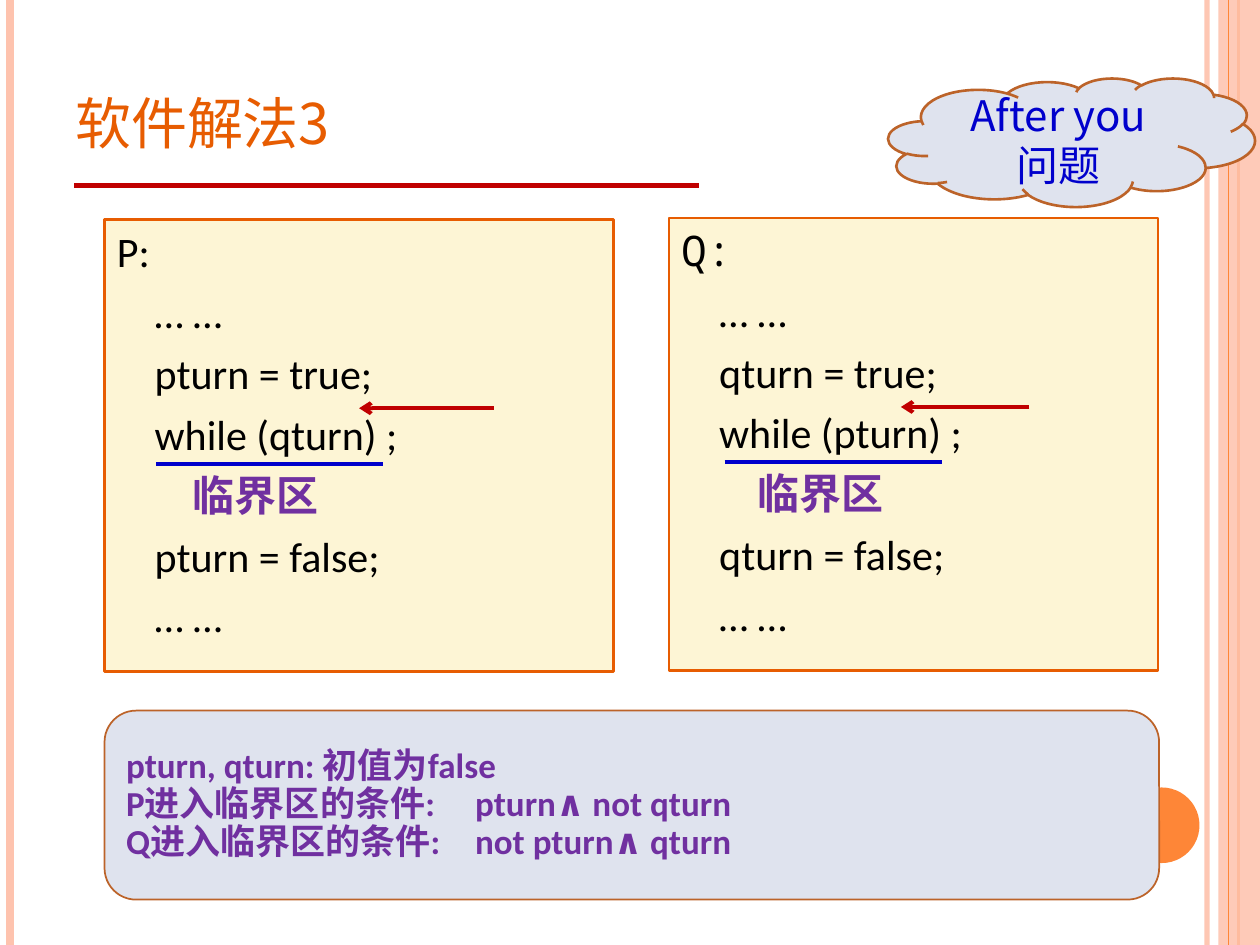
from lxml import etree
from pptx import Presentation
from pptx import util as u
from pptx.dml.color import RGBColor
from pptx.enum import shapes, text
from pptx.oxml import ns

COLUMNS, ROWS = 100, 75
CELL = u.Inches(0.1)

WHITE = RGBColor(0xFF, 0xFF, 0xFF)
BLACK = RGBColor(0, 0, 0)
PEACH = RGBColor(0xFE, 0xC3, 0xAE)
ORANGE = RGBColor(0xFE, 0x86, 0x37)
RUST = RGBColor(0xE7, 0x5C, 0x01)
BROWN = RGBColor(0xBC, 0x63, 0x29)
RED = RGBColor(0xC0, 0, 0)
BLUE = RGBColor(0, 0, 0xCC)
PURPLE = RGBColor(0x70, 0x30, 0xA0)
CREAM = RGBColor(0xFD, 0xF5, 0xD5)
MIST = RGBColor(0xDF, 0xE3, 0xEE)

LATIN = "Calibri"
HAN = "Noto Sans CJK SC"
MONO = "Noto Sans Mono"


def grid(cells):
    return u.Emu(round(cells * CELL))


def add_element(parent, tag, **attributes):
    return etree.SubElement(parent, ns.qn(tag), **attributes)


def set_opacity(fill_owner, percent):
    color = next(fill_owner.iter(ns.qn("a:srgbClr")))
    add_element(color, "a:alpha", val=str(percent * 1000))


def write_text(para, words, size=24, font=LATIN, color=BLACK, bold=False, small_caps=False):
    for index, line in enumerate(words.split("\n")):
        if index:
            para.add_line_break()
        span = para.add_run()
        span.text = line
        span.font.size = u.Pt(size)
        span.font.name = font
        span.font.bold = bold
        span.font.color.rgb = color
        properties = span.font._element
        if small_caps:
            properties.set("cap", "small")
        east_asian = etree.Element(ns.qn("a:ea"), typeface=HAN)
        properties.find(ns.qn("a:latin")).addnext(east_asian)


def add_line(page, start, end, color, width, arrow=False, opacity=None):
    line = page.shapes.add_connector(
        shapes.MSO_CONNECTOR.STRAIGHT, *map(grid, (*start, *end)))
    line.line.color.rgb = color
    line.line.width = u.Pt(width)
    if opacity:
        set_opacity(line.line._get_or_add_ln(), opacity)
    if arrow:
        add_element(line.line._get_or_add_ln(), "a:tailEnd", type="arrow")
    add_element(line._element.spPr, "a:effectLst")


def add_box(page, kind, area, fill, outline=None, width=1.5, anchor=text.MSO_ANCHOR.TOP):
    box = page.shapes.add_shape(kind, *map(grid, area))
    box.shadow.inherit = False
    box.fill.solid()
    box.fill.fore_color.rgb = fill
    if outline is None:
        box.line.fill.background()
    else:
        box.line.color.rgb = outline
        box.line.width = u.Pt(width)
    box.text_frame.word_wrap = True
    box.text_frame.vertical_anchor = anchor
    box.text_frame.paragraphs[0].alignment = text.PP_ALIGN.LEFT
    return box


def next_para(frame, index):
    para = frame.add_paragraph() if index else frame.paragraphs[0]
    para.alignment = text.PP_ALIGN.LEFT
    return para


def draw_border(page):
    band = (96.7, 0, 3.3, ROWS)
    for column, color, width, opacity in (
            (95.8, PEACH, 3, 93), (0.8, PEACH, 4.5, None), (98.3, ORANGE, 1.5, None)):
        add_line(page, (column, 0), (column, ROWS), color, width, opacity=opacity)
    strip = add_box(page, shapes.MSO_SHAPE.RECTANGLE, band, PEACH)
    set_opacity(strip._element.spPr, 87)
    add_line(page, (97.5, 0), (97.5, ROWS), ORANGE, 0.75)
    add_box(page, shapes.MSO_SHAPE.OVAL, (89.2, 62.5, 6, 6), ORANGE)


def draw_title(page, area, words):
    left, top, width, height = area
    add_line(page, (left + 0.9, top + 11.7), (left + 50.5, top + 11.7), RED, 3)
    box = page.shapes.add_textbox(*map(grid, area))
    box.text_frame.word_wrap = True
    box.text_frame.vertical_anchor = text.MSO_ANCHOR.BOTTOM
    write_text(box.text_frame.paragraphs[0], words, size=40, font=HAN, color=RUST,
               small_caps=True)


def draw_process(page, area, name, own, other, name_font, arrow, underline):
    left, top = area[:2]
    frame = add_box(page, shapes.MSO_SHAPE.RECTANGLE, area, CREAM, RUST).text_frame
    steps = [(0, f"{name}:"), (1, "… …"), (1, f"{own} = true;"), (1, f"while ({other}) ;"),
             (2, "临界区"), (1, f"{own} = false;"), (1, "… …")]
    for index, (level, words) in enumerate(steps):
        para = next_para(frame, index)
        para._p.get_or_add_pPr().set("marL", str(grid(3 * level)))
        if index:
            para.space_before = u.Pt(6)
        critical = level == 2
        write_text(para, words, font=LATIN if index else name_font,
                   color=PURPLE if critical else BLACK, bold=critical)
    for (start, end), row, color, pointed in (
            (arrow, 15, RED, True), (underline, 19.4, BLUE, False)):
        add_line(page, (left + start, top + row), (left + end, top + row), color, 2.25,
                 arrow=pointed)


def draw_conditions(page, area, lines):
    frame = add_box(page, shapes.MSO_SHAPE.ROUNDED_RECTANGLE, area, MIST, BROWN, 1,
                    text.MSO_ANCHOR.MIDDLE).text_frame
    for index, words in enumerate(lines):
        para = next_para(frame, index)
        para.line_spacing = 0.9
        if "\t" in words:
            tabs = add_element(para._p.get_or_add_pPr(), "a:tabLst")
            add_element(tabs, "a:tab", pos=str(grid(27.7)), algn="l")
        write_text(para, words, size=20, color=PURPLE, bold=True)


def draw_cloud(page, area, words):
    box = add_box(page, shapes.MSO_SHAPE.CLOUD, area, MIST, BROWN,
                  anchor=text.MSO_ANCHOR.MIDDLE)
    para = box.text_frame.paragraphs[0]
    para.alignment = text.PP_ALIGN.CENTER
    write_text(para, words, font=HAN, color=BLUE)


def main():
    deck = Presentation()
    deck.slide_width, deck.slide_height = grid(COLUMNS), grid(ROWS)
    page = deck.slides.add_slide(deck.slide_layouts[6])
    page.background.fill.solid()
    page.background.fill.fore_color.rgb = WHITE
    draw_border(page)
    draw_title(page, (5, 3, 81.7, 10.1), "软件解法3")
    draw_process(page, (8.3, 17.4, 40.4, 35.9), "P", "pturn", "qturn", LATIN,
                 arrow=(30.9, 20.2), underline=(4.1, 22.1))
    draw_process(page, (53.1, 17.3, 38.8, 35.9), "Q", "qturn", "pturn", MONO,
                 arrow=(28.6, 18.4), underline=(4.4, 21.7))
    draw_conditions(page, (8.3, 56.4, 83.7, 15), (
        "pturn, qturn: 初值为false",
        "P进入临界区的条件:\tpturn∧ not qturn",
        "Q进入临界区的条件:\tnot pturn∧ qturn"))
    draw_cloud(page, (70.5, 6.2, 29.1, 10.2), "After you\n问题")
    deck.save("out.pptx")


if __name__ == "__main__":
    main()
